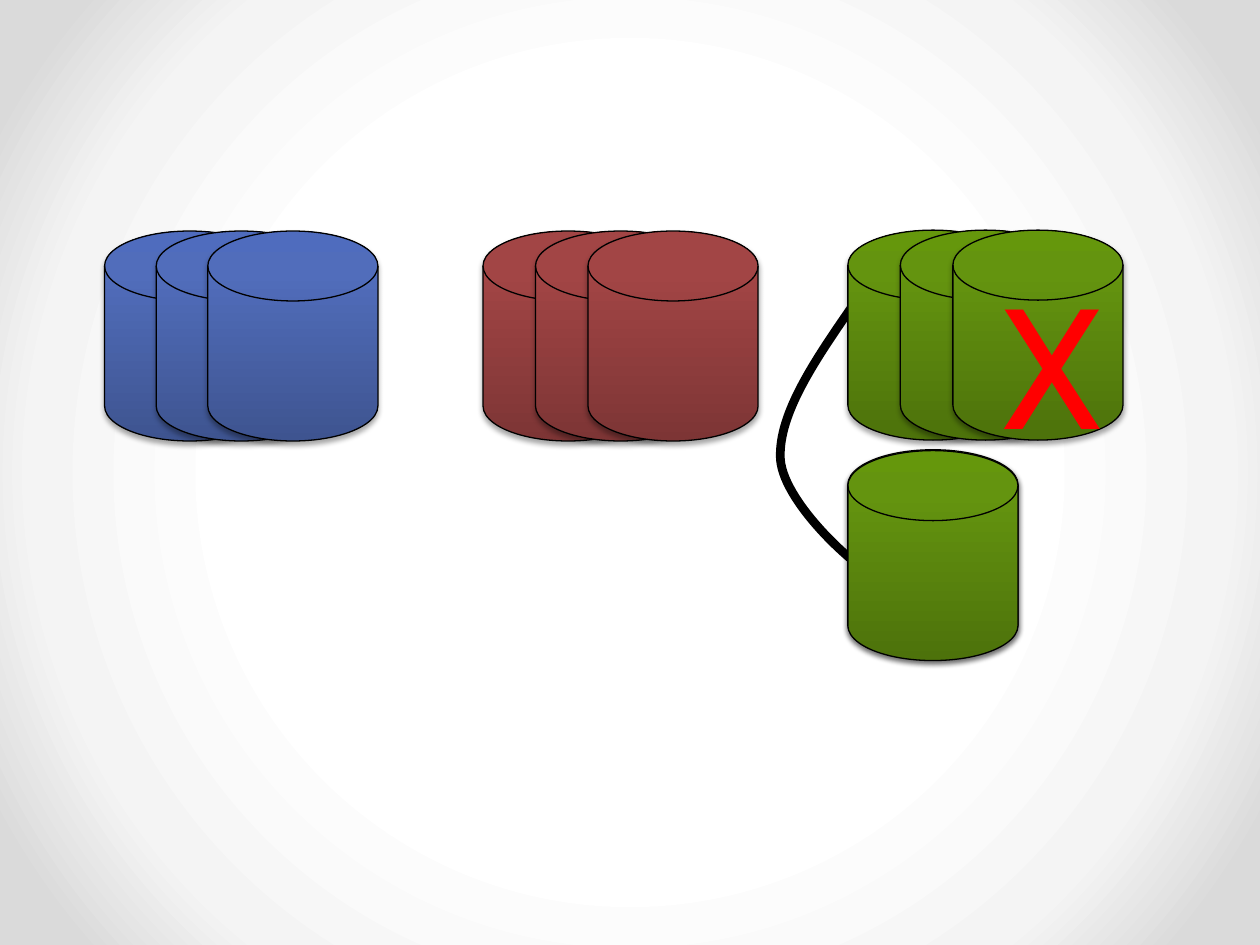
from lxml import etree
from pptx import Presentation
from pptx.dml.color import RGBColor
from pptx.enum.shapes import MSO_SHAPE
from pptx.enum.text import MSO_AUTO_SIZE
from pptx.oxml.ns import qn
from pptx.util import Pt

DISK = MSO_SHAPE.FLOWCHART_MAGNETIC_DISK
FIT_SHAPE = MSO_AUTO_SIZE.SHAPE_TO_FIT_TEXT

BLUE = [(0, "3E5490"), (80, "516DBB"), (100, "4F6CBE")]
RED = [(0, "7D3535"), (80, "A24545"), (100, "A44343")]
GREEN = [(0, "4D720B"), (80, "64940F"), (100, "65970C")]
BACKDROP = [(50, "FFFFFF"), (76, "F4F4F4"), (92, "DADADA")]

DISK_WIDTH, DISK_HEIGHT = 97.2, 120
STACK_TOP, BACKUP_TOP = 132, 257.5
GREEN_LEFT = 484.5


def rgb(hex_colour):
    return RGBColor.from_string(hex_colour)


def add_element(parent, tag, **attributes):
    return etree.SubElement(parent, qn(tag), {k: str(v) for k, v in attributes.items()})


def set_stops(gradient, stops):
    """Replace the stops of a gradFill element with (percent, colour) pairs."""
    stop_list = gradient.find(qn("a:gsLst"))
    for stop in list(stop_list):
        stop_list.remove(stop)
    for percent, colour in stops:
        stop = add_element(stop_list, "a:gs", pos=percent * 1000)
        add_element(stop, "a:srgbClr", val=colour)


class SlideBuilder:
    font = "Roboto"
    line_colour = "000000"

    def __init__(self, slide):
        self.slide = slide
        self.shapes = slide.shapes

    def radial_background(self, stops):
        self.slide.background.fill.gradient()
        gradient = self.slide.element.find(".//" + qn("a:gradFill"))
        set_stops(gradient, stops)
        gradient.remove(gradient.find(qn("a:lin")))
        circle = add_element(gradient, "a:path", path="circle")
        add_element(circle, "a:fillToRect", l=50000, t=50000, r=50000, b=50000)

    def outline(self, shape, width):
        shape.line.color.rgb = rgb(self.line_colour)
        shape.line.width = Pt(width)

    def shadow(self, shape):
        shape.shadow.inherit = False
        effects = shape.element.spPr.find(qn("a:effectLst"))
        outer = add_element(effects, "a:outerShdw", blurRad=Pt(3.1), dist=Pt(1.8),
                            dir=90 * 60000, rotWithShape=0)
        colour = add_element(outer, "a:srgbClr", val="000000")
        add_element(colour, "a:alpha", val=35000)

    def disk(self, left, top, fill):
        """Draw a database disk; fill is a colour or a list of gradient stops."""
        disk = self.shapes.add_shape(DISK, Pt(left), Pt(top), Pt(DISK_WIDTH), Pt(DISK_HEIGHT))
        if isinstance(fill, str):
            disk.fill.solid()
            disk.fill.fore_color.rgb = rgb(fill)
        else:
            disk.fill.gradient()
            disk.fill.gradient_angle = 90
            set_stops(disk.element.spPr.find(qn("a:gradFill")), fill)
        self.outline(disk, 0.75)
        self.shadow(disk)

    def stack(self, left, top, stops, step, count=3):
        for index in range(count):
            self.disk(left + index * step, top, stops)

    def curve(self, start, points, width):
        """Draw an open Bezier curve; points holds three per segment."""
        builder = self.shapes.build_freeform(Pt(start[0]), Pt(start[1]))
        builder.add_line_segments([(Pt(x), Pt(y)) for x, y in points], close=False)
        curve = builder.convert_to_shape()
        outline = curve.element.find(".//" + qn("a:path"))
        lines = outline.findall(qn("a:lnTo"))
        for first in range(0, len(lines), 3):
            bezier = add_element(outline, "a:cubicBezTo")
            for line in lines[first:first + 3]:
                bezier.append(line[0])
                outline.remove(line)
        curve.fill.background()
        curve.shadow.inherit = False
        self.outline(curve, width)

    def text(self, content, left, top, width, height, *, size, colour):
        box = self.shapes.add_textbox(Pt(left), Pt(top), Pt(width), Pt(height))
        frame = box.text_frame
        frame.word_wrap = True
        frame.auto_size = FIT_SHAPE
        run = frame.paragraphs[0].add_run()
        run.text = content
        run.font.name = self.font
        run.font.size = Pt(size)
        run.font.color.rgb = rgb(colour)


def main():
    presentation = Presentation()
    presentation.slide_width, presentation.slide_height = Pt(720), Pt(540)
    page = SlideBuilder(presentation.slides.add_slide(presentation.slide_layouts[6]))

    page.radial_background(BACKDROP)
    page.curve((489.5, 171.5), [(467, 204), (444.5, 236), (446, 262.5),
                                (448, 289), (494.5, 329.5), (502, 329.5)], width=5)
    page.disk(GREEN_LEFT, BACKUP_TOP - 0.5, "FFFFFF")
    page.stack(GREEN_LEFT, STACK_TOP - 0.5, GREEN, step=30)
    page.stack(59.75, STACK_TOP, BLUE, step=29.5)
    page.stack(276, STACK_TOP, RED, step=30)
    page.disk(GREEN_LEFT, BACKUP_TOP, GREEN)
    page.text("X", 564, 146, 76.5, 124, size=96, colour="FF0000")

    presentation.save("out.pptx")


if __name__ == "__main__":
    main()
